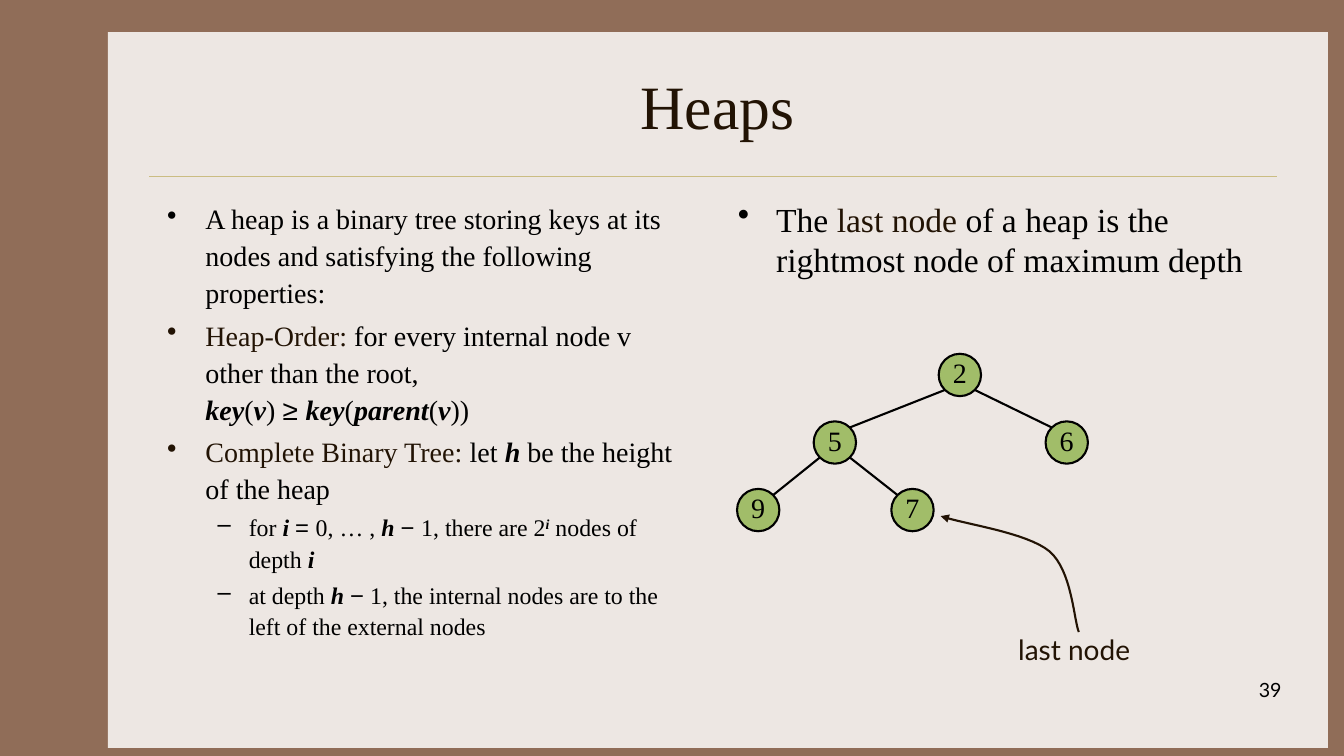
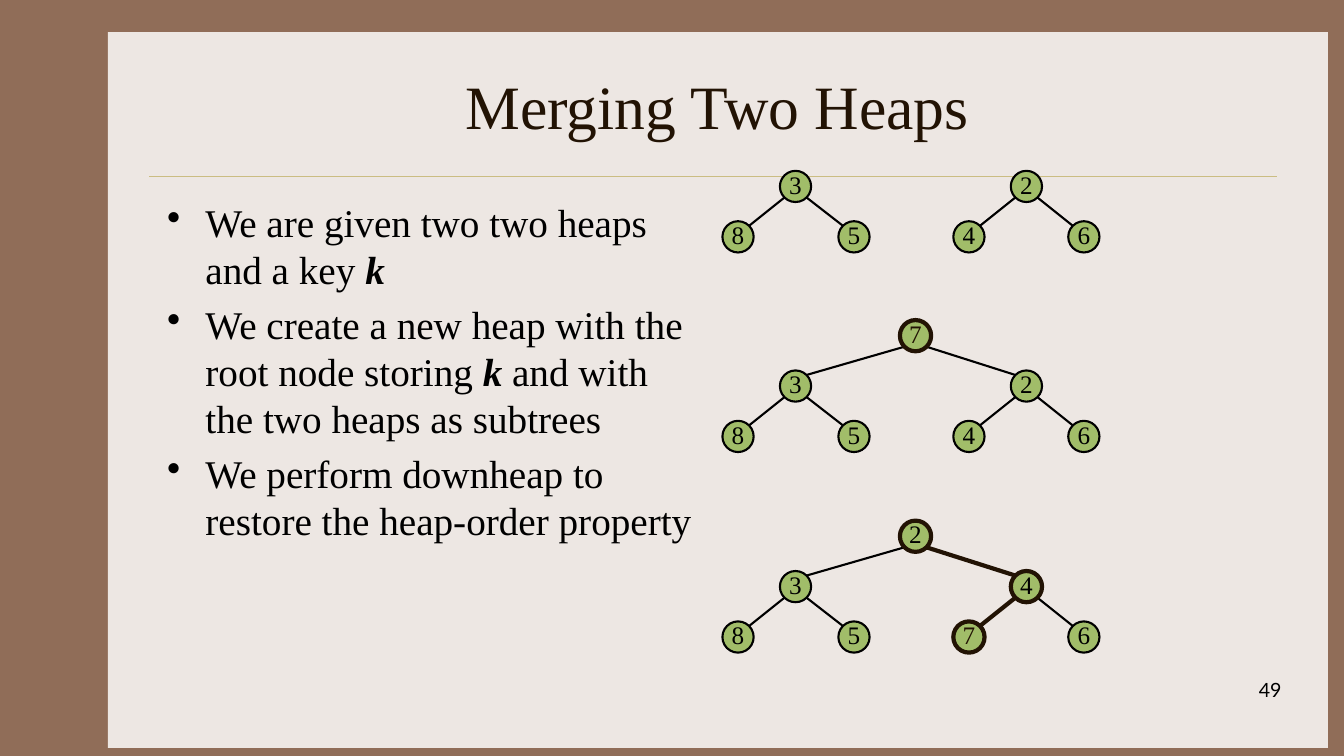
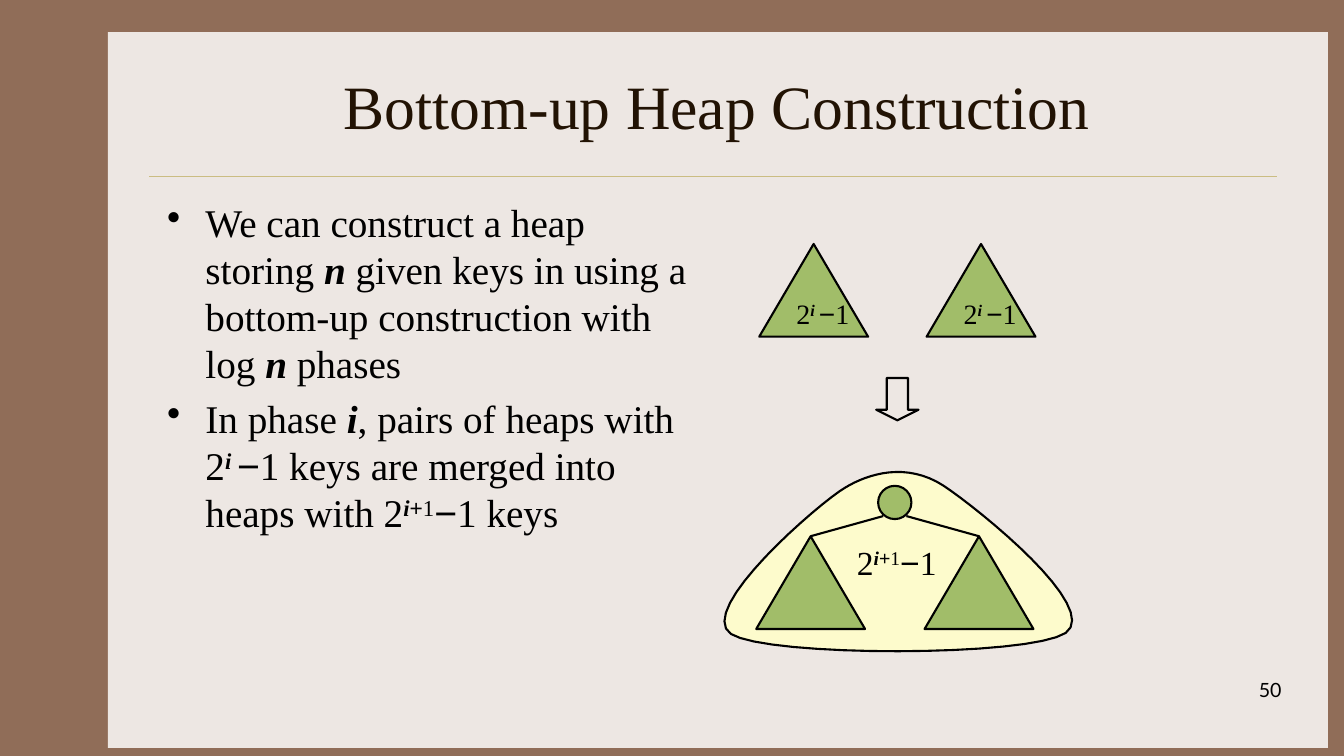
from lxml.etree import SubElement
from pptx import Presentation
from pptx.dml.color import RGBColor
from pptx.enum.shapes import MSO_CONNECTOR as LINK, MSO_SHAPE as SHAPE
from pptx.enum.text import MSO_ANCHOR as ANCHOR, PP_ALIGN as ALIGN
from pptx.oxml.ns import qn
from pptx.util import Inches, Pt

BROWN, PANEL, RULE = "906D58", "EDE7E3", "CBBD83"
DARK, BLACK, GREEN, CREAM = "221304", "000000", "A1BD69", "FDFBCC"
SERIF, SANS, SYMBOL = "Times New Roman", "Lato", "Arial"

BOLD, SUPER, MATH, ACCENT = "bold", "super", "math", "accent"
MINUS = ("−", MATH)
SUBHEAP_SIZE = ["2", ("i ", BOLD + SUPER), MINUS, "1"]
MERGED_SIZE = ["2", ("i", BOLD + SUPER), ("+", MATH + SUPER), ("1", SUPER), MINUS, "1"]


def rgb(code):
    """Turn a hex string into a colour."""
    return RGBColor.from_string(code)


def bezier(start, curves, steps=16):
    """Sample points along a chain of cubic curves."""
    points = []
    for curve in curves:
        ends = (start, *curve)
        for step in range(1, steps + 1):
            t = step / steps
            weights = ((1 - t) ** 3, 3 * t * (1 - t) ** 2, 3 * t * t * (1 - t), t ** 3)
            points.append(tuple(Inches(sum(w * p[axis] for w, p in zip(weights, ends)))
                                for axis in (0, 1)))
        start = curve[-1]
    return points


class Deck:
    """Holds the shared style and the current slide."""

    def __init__(self):
        self.prs = Presentation()
        self.prs.slide_width, self.prs.slide_height = Inches(13.33), Inches(7.5)
        fill = self.prs.slide_master.background.fill
        fill.solid()
        fill.fore_color.rgb = rgb(BROWN)
        self.layout = self.prs.slide_layouts[5]
        self.slide = None

    def add_slide(self, title, number):
        """Start a slide with its title and number."""
        self.slide = self.prs.slides.add_slide(self.layout)
        if len(self.prs.slides) == 1:
            self.frame_layout()
        heading = self.slide.shapes.title
        heading.left, heading.top = Inches(1.56), Inches(0.42)
        heading.width, heading.height = Inches(11.11), Inches(1.25)
        heading.text_frame.vertical_anchor = ANCHOR.MIDDLE
        paragraph = heading.text_frame.paragraphs[0]
        paragraph.alignment = ALIGN.CENTER
        self.add_runs(paragraph, [title], 44, DARK)
        self.label([str(number)], 10.03, 6.68, 2.78, 0.5, 14, font=SANS, align=ALIGN.RIGHT)

    def frame_layout(self):
        """Put the panel and the title rule on the layout."""
        for placeholder in list(self.layout.placeholders):
            if placeholder.placeholder_format.idx:
                self.layout.shapes.element.remove(placeholder.element)
        panel = self.shape(SHAPE.RECTANGLE, 1.07, 0.32, 12.1, 7.1, PANEL, None)
        rule = self.line((1.48, 1.75), (12.67, 1.75), RULE, 0.25)
        for position, part in enumerate((panel, rule), 2):
            self.layout.shapes.element.insert(position, part.element)

    def add_runs(self, paragraph, runs, size, color=BLACK, font=SERIF):
        """Fill a paragraph with plain or (text, style) runs."""
        for item in runs:
            if item == "\n":
                paragraph.add_line_break()
                continue
            text, style = (item, "") if isinstance(item, str) else item
            run = paragraph.add_run()
            run.text = text
            run.font.size = Pt(size)
            run.font.name = SYMBOL if MATH in style else font
            run.font.color.rgb = rgb(DARK if ACCENT in style else color)
            run.font.bold = run.font.italic = BOLD in style
            if SUPER in style:
                run._r.get_or_add_rPr().set("baseline", "30000")

    def label(self, runs, x, y, w, h, size, color=BLACK, font=SERIF, align=ALIGN.LEFT):
        """Add a one-line text box."""
        box = self.slide.shapes.add_textbox(Inches(x), Inches(y), Inches(w), Inches(h))
        box.text_frame.word_wrap = align == ALIGN.RIGHT
        paragraph = box.text_frame.paragraphs[0]
        paragraph.alignment = align
        self.add_runs(paragraph, runs, size, color, font)

    def bullets(self, items, x, h, size, subitems=(), spacing=None):
        """Add a bulleted column with optional second-level items."""
        box = self.slide.shapes.add_textbox(Inches(x), Inches(1.92), Inches(5.44), Inches(h))
        frame = box.text_frame
        frame.word_wrap = True
        rows = [(runs, "•", 0.38, 0.38, size) for runs in items]
        rows += [(runs, "–", 0.81, 0.31, 17) for runs in subitems]
        for index, (runs, mark, margin, hang, points) in enumerate(rows):
            paragraph = frame.add_paragraph() if index else frame.paragraphs[0]
            props = paragraph._p.get_or_add_pPr()
            props.set("marL", str(Inches(margin)))
            props.set("indent", str(-Inches(hang)))
            SubElement(props, qn("a:buChar"), char=mark)
            if spacing:
                paragraph.line_spacing = spacing
            if index:
                paragraph.space_before = Pt(0.2 * points)
            self.add_runs(paragraph, runs, points)

    def style(self, shape, fill, line, weight=1.5):
        """Set fill and outline, and drop the shadow."""
        shape.shadow.inherit = False
        if fill:
            shape.fill.solid()
            shape.fill.fore_color.rgb = rgb(fill)
        else:
            shape.fill.background()
        if line:
            shape.line.color.rgb = rgb(line)
            shape.line.width = Pt(weight)
        else:
            shape.line.fill.background()
        return shape

    def shape(self, kind, x, y, w, h, fill=GREEN, line=BLACK, weight=1.5):
        """Add a preset shape."""
        shape = self.slide.shapes.add_shape(kind, Inches(x), Inches(y), Inches(w), Inches(h))
        return self.style(shape, fill, line, weight)

    def line(self, start, end, color=BLACK, weight=1.5):
        """Add a straight line."""
        line = self.slide.shapes.add_connector(
            LINK.STRAIGHT, *(Inches(value) for value in (*start, *end)))
        line.line.color.rgb = rgb(color)
        line.line.width = Pt(weight)
        SubElement(line.element.spPr, qn("a:effectLst"))
        return line

    def curve(self, start, curves, color=BLACK, fill=None, closed=False):
        """Add a smooth outline, or an open curve ending in an arrowhead."""
        builder = self.slide.shapes.build_freeform(*(Inches(value) for value in start))
        builder.add_line_segments(bezier(start, curves), close=closed)
        outline = self.style(builder.convert_to_shape(), fill, color)
        if not closed:
            SubElement(outline.element.spPr.find(qn("a:ln")), qn("a:tailEnd"), type="triangle")

    def node(self, key, x, y, size, points, line, weight, color):
        """Add a tree node centred on a point."""
        circle = self.shape(SHAPE.OVAL, x - size / 2, y - size / 2, size, size,
                            line=line, weight=weight)
        frame = circle.text_frame
        frame.margin_left = frame.margin_right = frame.margin_top = 0
        frame.margin_bottom = Inches(0.05)
        frame.word_wrap = False
        frame.vertical_anchor = ANCHOR.MIDDLE
        frame.paragraphs[0].alignment = ALIGN.CENTER
        self.add_runs(frame.paragraphs[0], [key], points, color)

    def tree(self, keys, xs, top, row, size, points, hot=(), moved=None):
        """Draw a heap given in array order, with highlighted indices."""
        centers = [(x, top + row * ((i + 1).bit_length() - 1)) for i, x in enumerate(xs)]
        reach = size / 2 * 0.71
        for i, (x, y) in enumerate(centers):
            if i:
                parent = (i - 1) // 2
                px, py = centers[parent]
                side = reach if x > px else -reach
                pen = (DARK, 3) if {i, parent} <= set(hot) else (BLACK, 1.5)
                self.line((px + side, py + reach), (x - side, y - reach), *pen)
        for i, (x, y) in enumerate(centers):
            pen = (DARK, 3) if i in hot else (BLACK, 1.5)
            self.node(keys[i], x, y, size, points, *pen, DARK if i == moved else BLACK)

    def triangles(self, lefts, top, runs=()):
        """Draw a row of subheaps, each with the same text."""
        for left in lefts:
            triangle = self.shape(SHAPE.ISOSCELES_TRIANGLE, left, top, 1.08, 0.92)
            if runs:
                frame = triangle.text_frame
                frame.word_wrap = False
                frame.vertical_anchor = ANCHOR.MIDDLE
                frame.paragraphs[0].alignment = ALIGN.LEFT
                self.add_runs(frame.paragraphs[0], runs, 20)


def heaps(deck):
    """Build the slide that defines heaps."""
    deck.add_slide("Heaps", 39)
    properties = [
        ["A heap is a binary tree storing keys at its nodes and satisfying the following "
         "properties:"],
        [("Heap-Order:", ACCENT), " for every internal node v other than the root,", "\n",
         ("key", BOLD), "(", ("v", BOLD), ") ", ("≥ ", MATH), ("key", BOLD), "(",
         ("parent", BOLD), "(", ("v", BOLD), "))"],
        [("Complete Binary Tree:", ACCENT), " let ", ("h", BOLD), " be the height of the heap"],
    ]
    depths = [
        ["for ", ("i ", BOLD), ("= ", MATH), "0, … , ", ("h ", BOLD), ("− ", MATH),
         "1, there are 2", ("i", BOLD + SUPER), " nodes of depth ", ("i", BOLD)],
        ["at depth ", ("h ", BOLD), MINUS,
         " 1, the internal nodes are to the left of the external nodes"],
    ]
    deck.bullets(properties, 1.56, 4.5, 20, depths, 1.1)
    deck.bullets([["The", (" last node", ACCENT),
                   " of a heap is the rightmost node of maximum depth"]], 7.22, 1.43, 24)
    deck.tree("25697", (9.52, 8.28, 10.58, 7.52, 9.05), 3.72, 0.67, 0.42, 20)
    deck.curve((10.7, 6.27), [((10.65, 6.14), (10.63, 5.66), (10.41, 5.47)),
                              ((10.18, 5.28), (9.56, 5.2), (9.33, 5.12))], DARK)
    deck.label(["last node"], 10, 6.23, 1.32, 0.43, 20, DARK, SANS)


def merging(deck):
    """Build the slide that merges two heaps."""
    deck.add_slide("Merging Two Heaps", 49)
    deck.bullets([
        ["We are given two two heaps and a key ", ("k", BOLD)],
        ["We create a new heap with the root node storing ", ("k", BOLD),
         " and with the two heaps as subtrees"],
        ["We perform downheap to restore the heap-order property"],
    ], 1.56, 4.5, 28)
    left, right = (7.89, 7.32, 8.47), (10.18, 9.61, 10.75)
    merged = (9.08, left[0], right[0], *left[1:], *right[1:])
    sizes = (0.5, 0.31, 18)
    deck.tree("385", left, 1.85, *sizes)
    deck.tree("246", right, 1.85, *sizes)
    deck.tree("7328546", merged, 3.33, *sizes, hot=(0,), moved=0)
    deck.tree("2348576", merged, 5.32, *sizes, hot=(0, 2, 5), moved=5)


def construction(deck):
    """Build the slide on bottom-up construction."""
    deck.add_slide("Bottom-up Heap Construction", 50)
    deck.bullets([
        ["We can construct a heap storing ", ("n", BOLD),
         " given keys in using a bottom-up construction with log ", ("n", BOLD), " phases"],
        ["In phase ", ("i", BOLD), ", pairs of heaps with ", *SUBHEAP_SIZE,
         " keys are merged into heaps with ", *MERGED_SIZE, " keys"],
    ], 1.56, 4.5, 28)
    deck.triangles((7.53, 9.19), 2.42, SUBHEAP_SIZE)
    step = deck.shape(SHAPE.DOWN_ARROW, 8.69, 3.75, 0.42, 0.42, None)
    step.adjustments[1] = 0.25
    deck.curve((8.38, 4.84), [((8.14, 4.98), (6.89, 6.05), (7.25, 6.29)),
                              ((7.61, 6.52), (10.21, 6.52), (10.57, 6.28)),
                              ((10.92, 6.03), (9.72, 5.06), (9.36, 4.82)),
                              ((8.99, 4.58), (8.61, 4.7), (8.38, 4.84))],
               fill=CREAM, closed=True)
    deck.triangles((7.5, 9.17), 5.32)
    deck.shape(SHAPE.OVAL, 8.71, 4.82, 0.33, 0.33)
    for root_x, apex_x in ((8.76, 8.04), (8.99, 9.71)):
        deck.line((root_x, 5.12), (apex_x, 5.32))
    deck.label(MERGED_SIZE, 8.4, 5.33, 1.01, 0.5, 24)


def main():
    """Build and save the presentation."""
    deck = Deck()
    for build in (heaps, merging, construction):
        build(deck)
    deck.prs.save("out.pptx")


if __name__ == "__main__":
    main()
